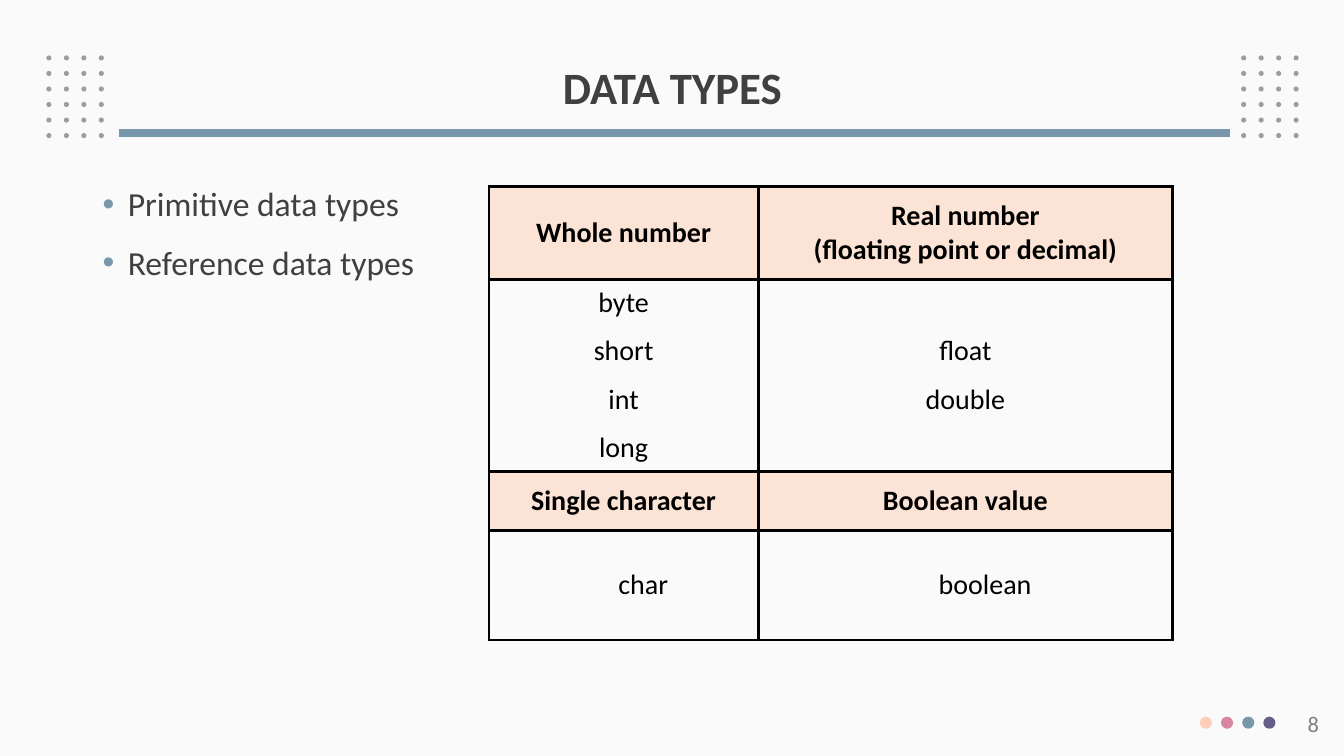
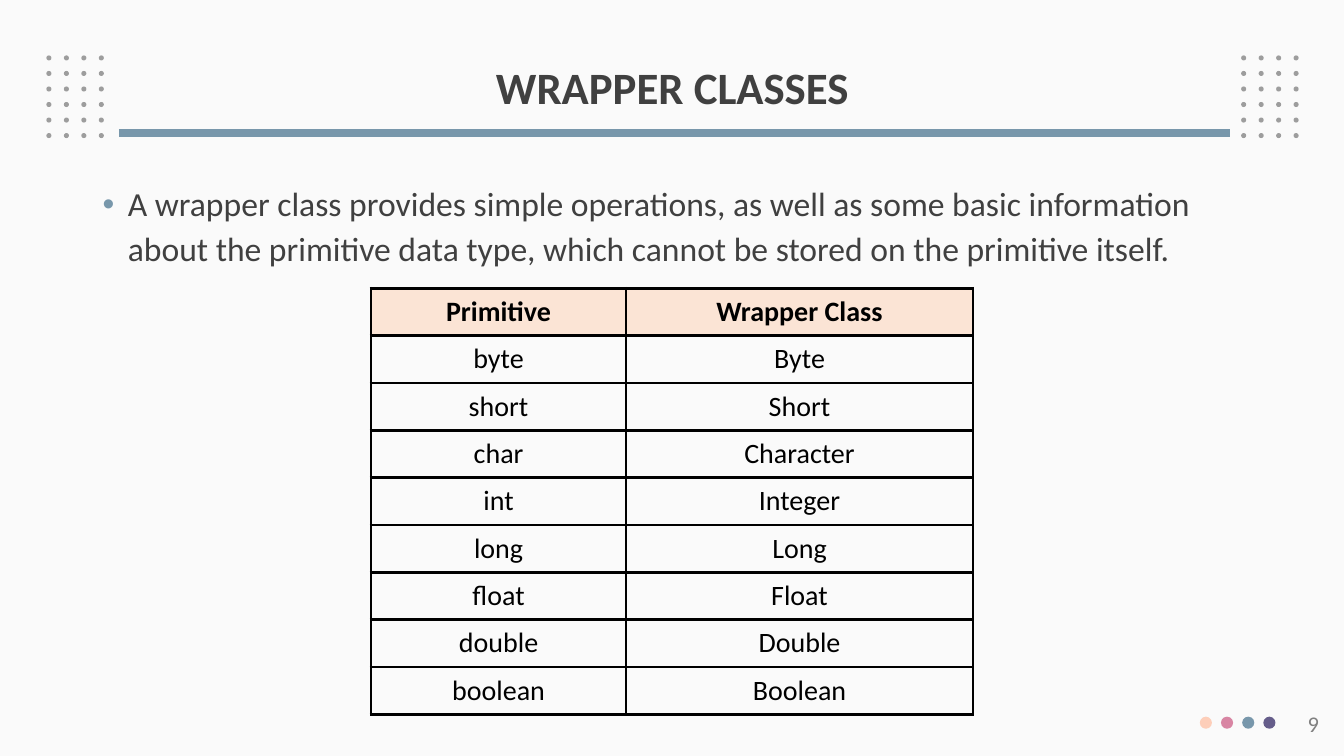
from dataclasses import dataclass

from lxml import etree
from pptx import Presentation
from pptx.dml.color import RGBColor
from pptx.enum.shapes import MSO_CONNECTOR, MSO_SHAPE
from pptx.enum.text import MSO_ANCHOR, PP_ALIGN
from pptx.oxml.ns import qn
from pptx.util import Inches, Pt

CENTER = PP_ALIGN.CENTER
RIGHT = PP_ALIGN.RIGHT
MIDDLE = MSO_ANCHOR.MIDDLE
OVAL = MSO_SHAPE.OVAL
STRAIGHT = MSO_CONNECTOR.STRAIGHT
TITLE_ONLY = 5

FONT = "Calibri"
COLORS = {
    "background": "FAFAFA",
    "text": "404040",
    "number": "808080",
    "grid_dot": "9D9D9D",
    "peach": "FDCEB9",
    "pink": "D885A3",
    "blue": "7897AB",
    "purple": "655D8A",
    "header": "FBE4D5",
    "black": "000000",
}


@dataclass
class Row:
    height: float
    cells: tuple
    header: bool = False
    space_after: int = 0
    indent: float = 0


def color(name):
    return RGBColor.from_string(COLORS[name])


def style(para, size, color_name, bold=False):
    para.font.name = FONT
    para.font.size = Pt(size)
    para.font.bold = bold
    para.font.color.rgb = color(color_name)


def add_dot(group, left, top, size, color_name):
    dot = group.shapes.add_shape(OVAL, Inches(left), Inches(top), Inches(size), Inches(size))
    dot.shadow.inherit = False
    dot.fill.solid()
    dot.fill.fore_color.rgb = color(color_name)
    dot.line.fill.background()


def add_dot_grid(slide, left):
    group = slide.shapes.add_group_shape()
    for row in range(6):
        for column in range(4):
            add_dot(group, left + column * 0.52 / 3, 0.55 + row * 0.77 / 5, 0.05, "grid_dot")


def add_footer(slide, number):
    group = slide.shapes.add_group_shape()
    for index, name in enumerate(("peach", "pink", "blue", "purple")):
        add_dot(group, 11.9 + index * 0.21, 7.11, 0.12, name)
    box = slide.shapes.add_textbox(Inches(10.18), Inches(7), Inches(3), Inches(0.4))
    box.text_frame.word_wrap = True
    para = box.text_frame.paragraphs[0]
    para.text = str(number)
    para.alignment = RIGHT
    style(para, 16, "number")


def add_title_rule(slide):
    rule = slide.shapes.add_connector(STRAIGHT, Inches(1.18), Inches(1.32), Inches(12.2), Inches(1.32))
    rule.line.color.rgb = color("blue")
    rule.line.width = Pt(5.25)
    etree.SubElement(rule._element.spPr, qn("a:effectLst"))


def set_title(slide, text):
    title = slide.shapes.title
    title.left, title.top = Inches(0.92), Inches(0.4)
    title.width, title.height = Inches(11.5), Inches(0.98)
    title.text_frame.vertical_anchor = MIDDLE
    para = title.text_frame.paragraphs[0]
    para.text = text
    para.alignment = CENTER
    para.line_spacing = 0.9
    style(para, 32, "text", bold=True)


def add_slide(deck, title, number):
    slide = deck.slides.add_slide(deck.slide_layouts[TITLE_ONLY])
    for left in (0.46, 12.31):
        add_dot_grid(slide, left)
    add_title_rule(slide)
    add_footer(slide, number)
    set_title(slide, title)
    return slide


def add_bullet(para):
    properties = para._p.get_or_add_pPr()
    properties.set("marL", str(Inches(0.25)))
    properties.set("indent", str(-Inches(0.25)))
    bullet_color = etree.SubElement(properties, qn("a:buClr"))
    etree.SubElement(bullet_color, qn("a:srgbClr"), val=COLORS["blue"])
    etree.SubElement(properties, qn("a:buFont"), typeface="Arial")
    etree.SubElement(properties, qn("a:buChar"), char="•")


def add_bullets(slide, lines):
    box = slide.shapes.add_textbox(Inches(0.92), Inches(1.73), Inches(11.5), Inches(1.4))
    frame = box.text_frame
    frame.word_wrap = True
    frame.text = "\n".join(lines)
    for index, para in enumerate(frame.paragraphs):
        add_bullet(para)
        para.line_spacing = 1.1
        if index:
            para.space_before = Pt(10)
        style(para, 24, "text")


def add_borders(cell):
    properties = cell._tc.get_or_add_tcPr()
    for side in ("lnL", "lnR", "lnT", "lnB"):
        border = etree.SubElement(properties, qn(f"a:{side}"), w=str(Pt(2.25)))
        fill = etree.SubElement(border, qn("a:solidFill"))
        etree.SubElement(fill, qn("a:srgbClr"), val=COLORS["black"])


def fill_cell(cell, text, row):
    cell.text = text
    cell.vertical_anchor = MIDDLE
    add_borders(cell)
    if row.header:
        cell.fill.solid()
        cell.fill.fore_color.rgb = color("header")
    else:
        cell.fill.background()
    for para in cell.text_frame.paragraphs:
        para.alignment = CENTER
        para.space_after = Pt(row.space_after)
        if row.indent:
            para._p.get_or_add_pPr().set("marL", str(Inches(row.indent)))
        style(para, 20, "black", bold=row.header)


def add_type_table(slide, left, top, widths, rows):
    height = sum(row.height for row in rows)
    table = slide.shapes.add_table(
        len(rows), len(widths), Inches(left), Inches(top), Inches(sum(widths)), Inches(height)
    ).table
    table.horz_banding = False
    for column, width in zip(table.columns, widths):
        column.width = Inches(width)
    for row_index, row in enumerate(rows):
        table.rows[row_index].height = Inches(row.height)
        for column_index, text in enumerate(row.cells):
            fill_cell(table.cell(row_index, column_index), text, row)


def build_data_types(deck):
    slide = add_slide(deck, "DATA TYPES", 8)
    add_bullets(slide, ["Primitive data types", "Reference data types"])
    rows = [
        Row(0.92, ("Whole number", "Real number\n(floating point or decimal)"), header=True),
        Row(1.91, ("byte\nshort\nint\nlong", "float\ndouble"), space_after=10),
        Row(0.58, ("Single character", "Boolean value"), header=True, space_after=10),
        Row(1.09, ("char", "boolean"), space_after=10, indent=0.39),
    ]
    add_type_table(slide, 4.85, 1.85, (2.67, 4.11), rows)


def build_wrapper_classes(deck):
    slide = add_slide(deck, "WRAPPER CLASSES", 9)
    add_bullets(slide, [
        "A wrapper class provides simple operations, as well as some basic information "
        "about the primitive data type, which cannot be stored on the primitive itself."
    ])
    pairs = [
        ("byte", "Byte"),
        ("short", "Short"),
        ("char", "Character"),
        ("int", "Integer"),
        ("long", "Long"),
        ("float", "Float"),
        ("double", "Double"),
        ("boolean", "Boolean"),
    ]
    rows = [Row(0.47, ("Primitive", "Wrapper Class"), header=True)]
    rows += [Row(0.47, pair) for pair in pairs]
    add_type_table(slide, 3.68, 2.86, (2.53, 3.44), rows)


def main():
    deck = Presentation()
    deck.slide_width, deck.slide_height = Inches(13.33), Inches(7.5)
    background = deck.slide_master.background.fill
    background.solid()
    background.fore_color.rgb = color("background")
    build_data_types(deck)
    build_wrapper_classes(deck)
    deck.save("out.pptx")


if __name__ == "__main__":
    main()
